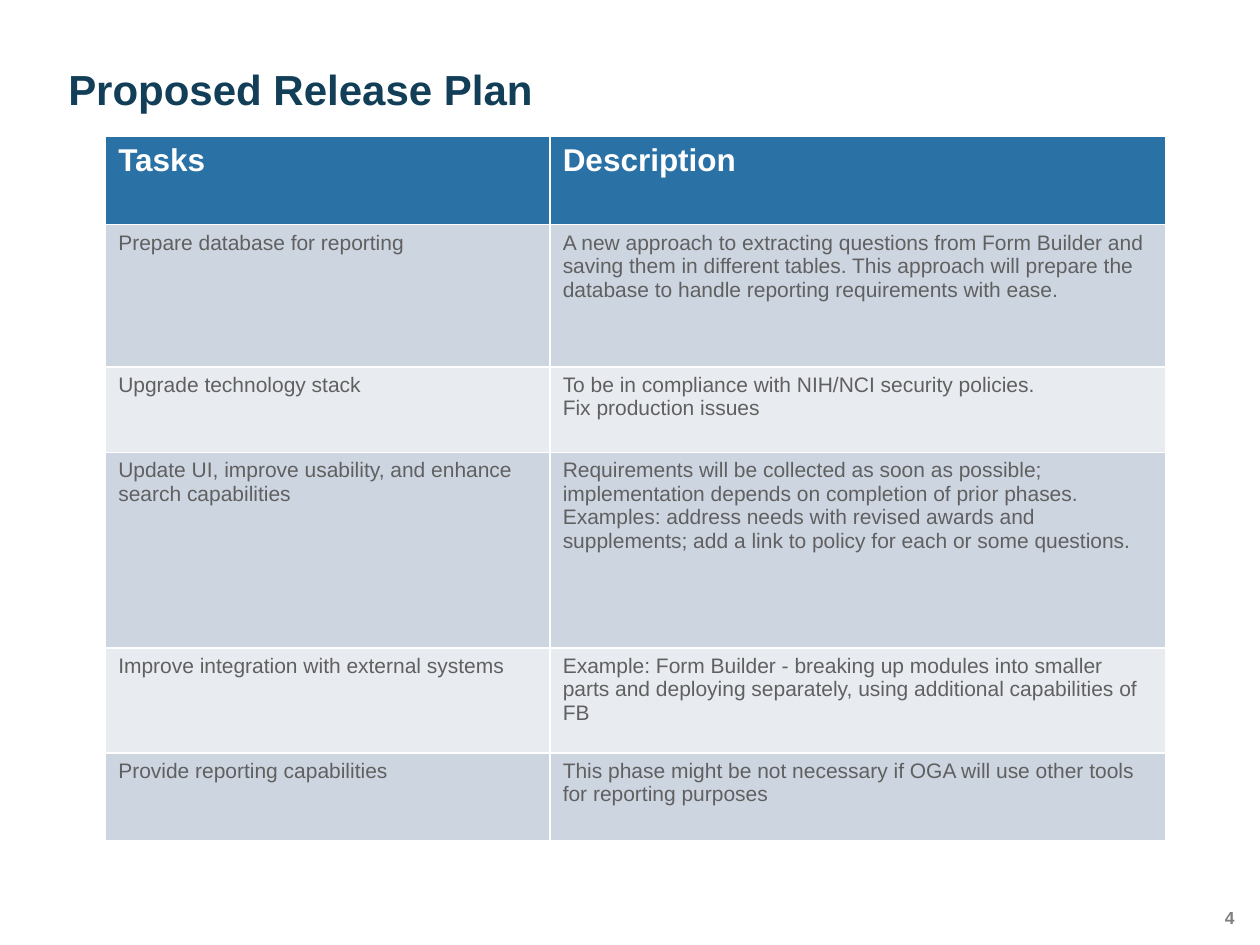
from pptx import Presentation
from pptx.dml.color import RGBColor
from pptx.enum.text import MSO_ANCHOR, PP_ALIGN
from pptx.util import Pt

COLORS = {
    "title": "123E57",
    "header": "2A71A5",
    "header_text": "FFFFFF",
    "band_dark": "CDD5E1",
    "band_light": "E8EBF0",
    "body": "606060",
    "number": "7F7F7F",
}
FONT = "Arial"

# Each row: height in points, task, description paragraphs
ROWS = [
    (50.4, "Tasks", ["Description"]),
    (81.2, "Prepare database for reporting",
     ["A new approach to extracting questions from Form Builder and saving them in "
      "different tables. This approach will prepare the database to handle reporting "
      "requirements with ease."]),
    (49, "Upgrade technology stack",
     ["To be in compliance with NIH/NCI security policies.", "Fix production issues"]),
    (111.6, "Update UI, improve usability, and enhance search capabilities",
     ["Requirements will be collected as soon as possible; implementation depends on "
      "completion of prior phases.",
      "Examples: address needs with revised awards and supplements; add a link to "
      "policy for each or some questions."]),
    (60, "Improve integration with external systems",
     ["Example: Form Builder - breaking up modules into smaller parts and deploying "
      "separately, using additional capabilities of FB"]),
    (50.4, "Provide reporting capabilities",
     ["This phase might be not necessary if OGA will use other tools for reporting "
      "purposes"]),
]


def rgb(name):
    return RGBColor.from_string(COLORS[name])


def format_text(tf, size, color, bold):
    for p in tf.paragraphs:
        for r in p.runs:
            r.font.name = FONT
            r.font.size = Pt(size)
            r.font.bold = bold
            r.font.color.rgb = rgb(color)


def clear_margins(tf):
    tf.margin_left = tf.margin_right = tf.margin_top = tf.margin_bottom = 0


def place_title(s, left, top, width, height):
    sp = s.shapes.title
    sp.left, sp.top, sp.width, sp.height = Pt(left), Pt(top), Pt(width), Pt(height)
    tf = sp.text_frame
    tf.text = "Proposed Release Plan"
    clear_margins(tf)
    tf.word_wrap = True
    tf.vertical_anchor = MSO_ANCHOR.BOTTOM
    p = tf.paragraphs[0]
    p.alignment = PP_ALIGN.LEFT
    p.line_spacing = 0.9
    format_text(tf, 24, "title", True)


def add_plan_table(s, left, top, widths):
    """Table with a header row and bands; the default style draws the white rules."""
    height = sum(row[0] for row in ROWS)
    table = s.shapes.add_table(len(ROWS), len(widths), Pt(left), Pt(top),
                               Pt(sum(widths)), Pt(height)).table
    for column, width in zip(table.columns, widths):
        column.width = Pt(width)
    for i, (row_height, task, description) in enumerate(ROWS):
        table.rows[i].height = Pt(row_height)
        if i == 0:
            fill, style = "header", (18, "header_text", True)
        else:
            fill = "band_dark" if i % 2 else "band_light"
            style = (12, "body", False)
        for cell, text in zip(table.rows[i].cells, (task, "\n".join(description))):
            cell.fill.solid()
            cell.fill.fore_color.rgb = rgb(fill)
            cell.text_frame.text = text
            format_text(cell.text_frame, *style)


def add_page_number(s, left, top, width, height):
    tf = s.shapes.add_textbox(Pt(left), Pt(top), Pt(width), Pt(height)).text_frame
    tf.text = "4"
    clear_margins(tf)
    tf.word_wrap = True
    p = tf.paragraphs[0]
    p.alignment = PP_ALIGN.RIGHT
    p.space_before = Pt(5)
    format_text(tf, 10, "number", True)


def main():
    prs = Presentation()
    prs.slide_width, prs.slide_height = Pt(720), Pt(540)
    s = prs.slides.add_slide(prs.slide_layouts[5])
    place_title(s, 39, 32.4, 643, 33.1)
    add_plan_table(s, 60.4, 78, (254, 351.5))
    add_page_number(s, 681, 518.4, 24.4, 14.4)
    prs.save("out.pptx")


if __name__ == "__main__":
    main()
